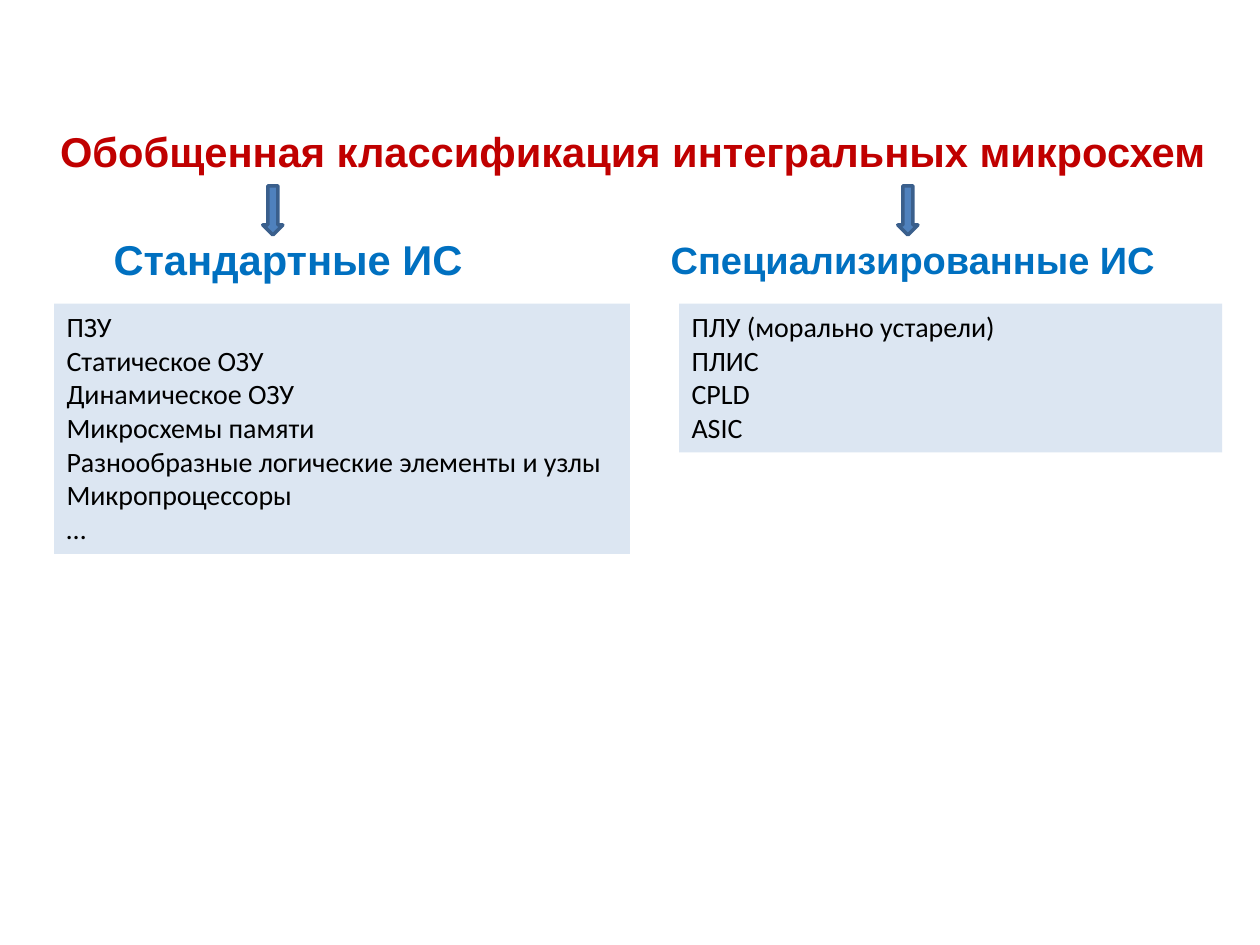
from dataclasses import dataclass

from pptx import Presentation
from pptx.dml.color import RGBColor
from pptx.enum.shapes import MSO_SHAPE
from pptx.enum.text import MSO_ANCHOR, MSO_AUTO_SIZE, PP_ALIGN
from pptx.util import Inches, Pt


@dataclass(frozen=True)
class Theme:
    title_color: RGBColor = RGBColor.from_string("C00000")
    heading_color: RGBColor = RGBColor.from_string("0070C0")
    text_color: RGBColor = RGBColor.from_string("000000")
    panel_fill: RGBColor = RGBColor.from_string("DCE6F2")
    arrow_fill: RGBColor = RGBColor.from_string("4F81BD")
    arrow_line: RGBColor = RGBColor.from_string("3A5F8C")
    heading_font: str = "Arial"
    body_font: str = "Calibri"
    title_size: float = 23.8
    long_heading_size: float = 21.7
    body_size: float = 16


theme = Theme()
presentation = Presentation()
presentation.slide_width = Inches(10)
presentation.slide_height = Inches(7.5)
slide = presentation.slides.add_slide(presentation.slide_layouts[6])


def area(left, top, width, height):
    """Turn percentages of the slide's width and height into lengths."""
    across, down = presentation.slide_width / 100, presentation.slide_height / 100
    return [round(value) for value in
            (left * across, top * down, width * across, height * down)]


def write(shape, text, *, size, color, font, bold=False,
          align=PP_ALIGN.LEFT, anchor=MSO_ANCHOR.TOP):
    frame = shape.text_frame
    frame.word_wrap = True
    frame.vertical_anchor = anchor
    frame.text = text
    for paragraph in frame.paragraphs:
        paragraph.alignment = align
        for run in paragraph.runs:
            run.font.name = font
            run.font.size = Pt(size)
            run.font.bold = bold
            run.font.color.rgb = color


# Title and the two class headings: text, left, top, width, size, color
heading_height = 9.47
headings = [
    ("Обобщенная классификация интегральных микросхем",
     2.7, 11.2, 95, theme.title_size, theme.title_color),
    ("Стандартные ИС",
     6.7, 22.67, 32.3, theme.title_size, theme.heading_color),
    ("Специализированные ИС",
     51.6, 22.67, 41.7, theme.long_heading_size, theme.heading_color),
]
for text, left, top, width, size, color in headings:
    heading = slide.shapes.add_textbox(*area(left, top, width, heading_height))
    write(heading, text, size=size, color=color, font=theme.heading_font,
          bold=True, align=PP_ALIGN.CENTER, anchor=MSO_ANCHOR.MIDDLE)

# Arrows from the title down to each class
for left in (19.7, 70.1):
    arrow = slide.shapes.add_shape(MSO_SHAPE.RIGHT_ARROW, *area(left, 21.2, 3.9, 2.13))
    arrow.rotation = 90
    arrow.shadow.inherit = False
    arrow.fill.solid()
    arrow.fill.fore_color.rgb = theme.arrow_fill
    arrow.line.color.rgb = theme.arrow_line
    arrow.line.width = Pt(2)

# Panels listing the members of each class: left, width, height, members
panels = [
    (4.3, 45.7, 26.5, ["ПЗУ", "Статическое ОЗУ", "Динамическое ОЗУ",
                       "Микросхемы памяти",
                       "Разнообразные логические элементы и узлы",
                       "Микропроцессоры", "…"]),
    (53.9, 43.1, 15.73, ["ПЛУ (морально устарели)", "ПЛИС", "СPLD", "ASIC"]),
]
for left, width, height, members in panels:
    panel = slide.shapes.add_shape(MSO_SHAPE.RECTANGLE, *area(left, 32.13, width, height))
    panel.shadow.inherit = False
    panel.fill.solid()
    panel.fill.fore_color.rgb = theme.panel_fill
    panel.line.fill.background()
    write(panel, "\n".join(members), size=theme.body_size,
          color=theme.text_color, font=theme.body_font)
    panel.text_frame.auto_size = MSO_AUTO_SIZE.SHAPE_TO_FIT_TEXT

presentation.save("out.pptx")
